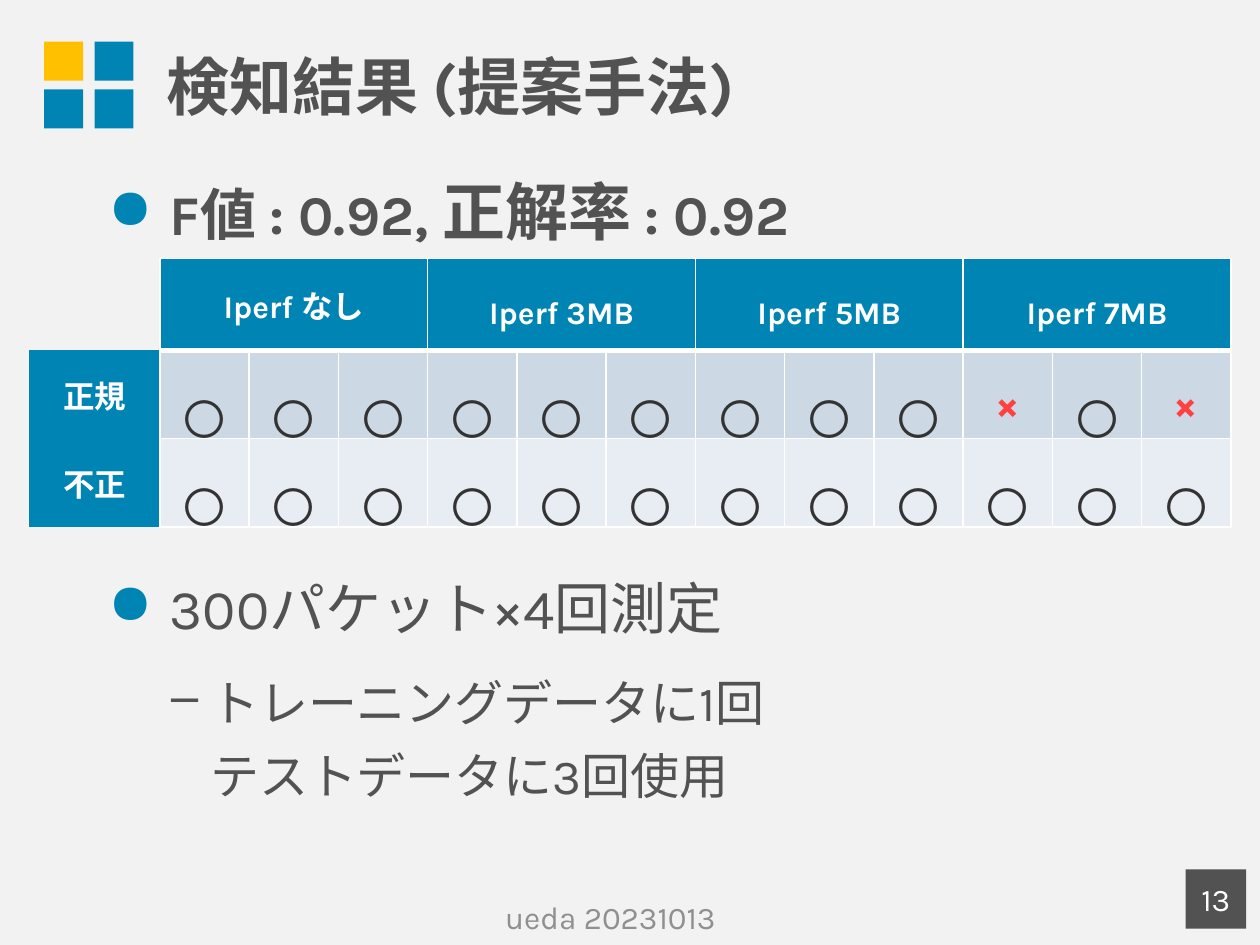
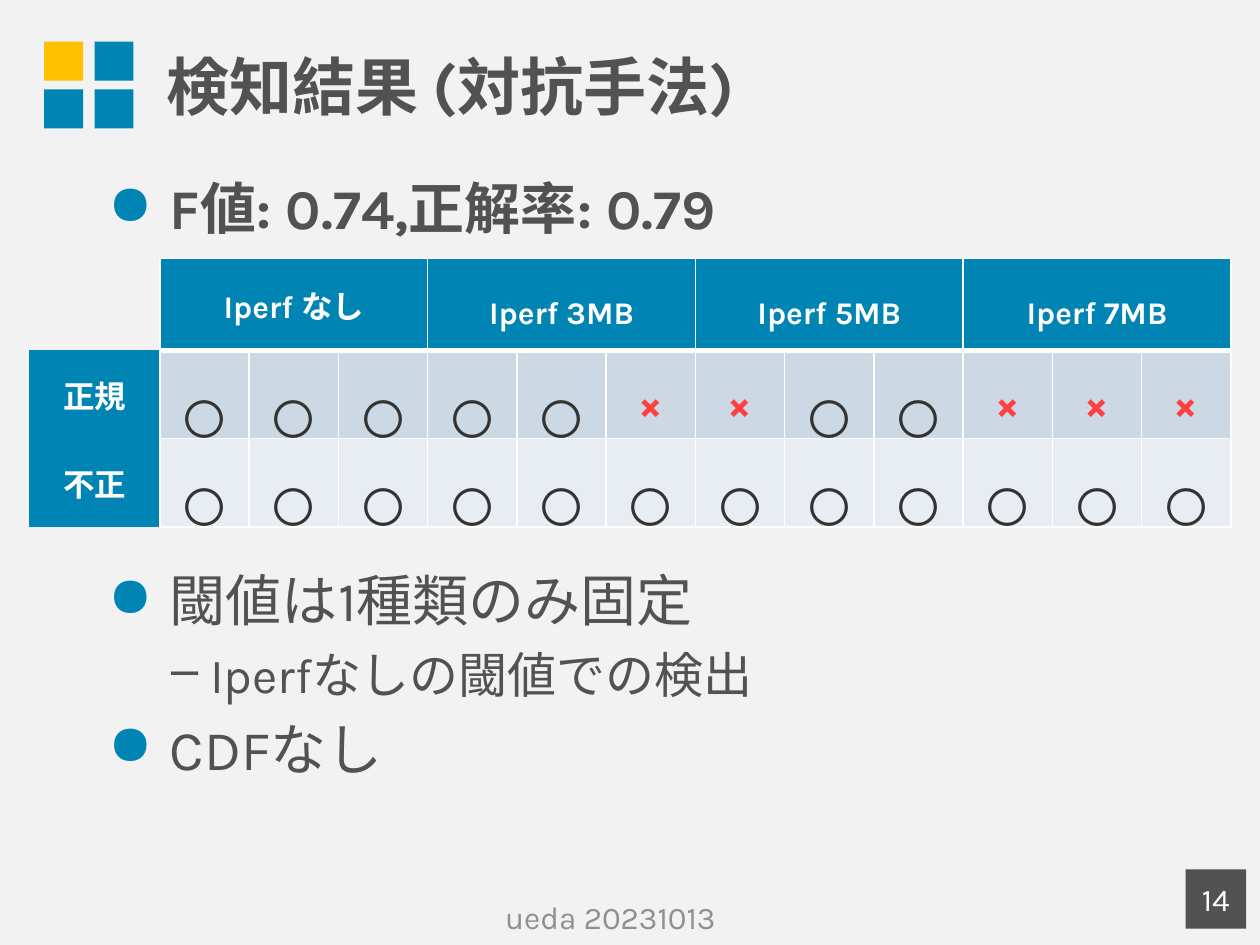
from dataclasses import dataclass

from lxml import etree
from pptx import Presentation
from pptx.dml.color import RGBColor
from pptx.enum.shapes import MSO_SHAPE
from pptx.enum.text import MSO_ANCHOR, PP_ALIGN
from pptx.oxml.ns import qn
from pptx.util import Inches, Pt

RECTANGLE = MSO_SHAPE.RECTANGLE
TOP, MIDDLE = MSO_ANCHOR.TOP, MSO_ANCHOR.MIDDLE
LEFT, CENTER = PP_ALIGN.LEFT, PP_ALIGN.CENTER
PLAIN_TABLE_STYLE = "{2D5ABB26-0587-4C30-8999-92F81FD0307C}"


@dataclass(frozen=True)
class Theme:
    font: str = "Karla"
    background: str = "F2F2F2"
    accent: str = "0084B4"
    highlight: str = "FFC000"
    ink: str = "525252"
    muted: str = "909090"
    white: str = "FFFFFF"
    hit: str = "333333"
    miss: str = "FF4040"
    bands: tuple = ("CCD9E5", "E7EDF2")
    title_size: int = 36
    body_size: int = 32
    sub_size: int = 28
    mark_size: int = 24
    small_size: int = 18


THEME = Theme()
CONDITIONS = ("Iperf なし", "Iperf 3MB", "Iperf 5MB", "Iperf 7MB")
RUNS_PER_CONDITION = 3
PAGES = (
    {
        "number": 13,
        "title": "検知結果 (提案手法)",
        "scores": (("F値 : 0.92, ", THEME.body_size), ("正解率", THEME.title_size),
                   (" : 0.92", THEME.body_size)),
        "results": (("正規", "〇〇〇〇〇〇〇〇〇×〇×"), ("不正", "〇" * 12)),
        "notes_top": 4.56,
        "notes": ((0, "300パケット×4回測定", 0.9),
                  (1, "トレーニングデータに1回\nテストデータに3回使用", 1.24)),
    },
    {
        "number": 14,
        "title": "検知結果 (対抗手法)",
        "scores": (("F値: 0.74,正解率: 0.79", THEME.body_size),),
        "results": (("正規", "〇〇〇〇〇××〇〇×××"), ("不正", "〇" * 12)),
        "notes_top": 4.5,
        "notes": ((0, "閾値は1種類のみ固定", 0.9), (1, "Iperfなしの閾値での検出", 0.9),
                  (0, "CDFなし", 0.9)),
    },
)


def color(value):
    return RGBColor.from_string(value)


def write(para, text, size=THEME.body_size, ink=THEME.ink, bold=False,
          align=LEFT, spacing=None, before=0):
    para.alignment = align
    para.space_before = Pt(before)
    if spacing:
        para.line_spacing = spacing
    for index, line in enumerate(text.split("\n")):
        if index:
            para.add_line_break()
        span = para.add_run()
        span.text = line
        span.font.name = THEME.font
        span.font.size = Pt(size)
        span.font.bold = bold
        span.font.color.rgb = color(ink)


def add_bullet(para, level):
    margin, hanging, mark = ((0.49, 0.49, "●"), (0.81, 0.31, "–"))[level]
    para.level = level
    properties = para._p.get_or_add_pPr()
    properties.set("marL", str(Inches(margin)))
    properties.set("indent", str(-Inches(hanging)))
    if level == 0:
        tint = etree.SubElement(properties, qn("a:buClr"))
        etree.SubElement(tint, qn("a:srgbClr"), val=THEME.accent)
    etree.SubElement(properties, qn("a:buChar"), char=mark)


def add_text_box(page, left, top, width, height, anchor=TOP):
    box = page.shapes.add_textbox(*map(Inches, (left, top, width, height)))
    frame = box.text_frame
    frame.word_wrap = True
    frame.vertical_anchor = anchor
    return frame


def add_block(page, left, top, width, height, fill):
    block = page.shapes.add_shape(RECTANGLE, *map(Inches, (left, top, width, height)))
    block.shadow.inherit = False
    block.fill.solid()
    block.fill.fore_color.rgb = color(fill)
    block.line.fill.background()
    return block


def add_emblem(page, left, top, side=0.31, pitch_x=0.4, pitch_y=0.38):
    for row in range(2):
        for column in range(2):
            fill = THEME.accent if row or column else THEME.highlight
            add_block(page, left + column * pitch_x, top + row * pitch_y, side, side, fill)


def add_title(page, text, left, top, width, height):
    frame = add_text_box(page, left, top, width, height, MIDDLE)
    write(frame.paragraphs[0], text, size=THEME.title_size, bold=True)


def add_scores(page, scores, left, top, width, height):
    para = add_text_box(page, left, top, width, height).paragraphs[0]
    for text, size in scores:
        write(para, text, size=size, bold=True, spacing=0.9)
    add_bullet(para, 0)


def add_notes(page, notes, left, top, width, height):
    frame = add_text_box(page, left, top, width, height)
    for index, (level, text, spacing) in enumerate(notes):
        para = frame.add_paragraph() if index else frame.paragraphs[0]
        size = THEME.sub_size if level else THEME.body_size
        write(para, text, size=size, spacing=spacing, before=10 if index else 0)
        add_bullet(para, level)


def add_footer(page, number, left, top, width, height):
    frame = add_text_box(page, left, top + 0.18, width - 0.55, height - 0.07, MIDDLE)
    write(frame.paragraphs[0], "ueda 20231013", size=THEME.small_size,
          ink=THEME.muted, align=CENTER)
    badge = add_block(page, left + width - 0.48, top, 0.48, height, THEME.ink).text_frame
    badge.margin_left = badge.margin_right = 0
    badge.vertical_anchor = MIDDLE
    write(badge.paragraphs[0], str(number), size=THEME.small_size,
          ink=THEME.white, align=CENTER)


def set_borders(cell, left=1, right=1, top=1, bottom=1):
    properties = cell._tc.get_or_add_tcPr()
    sides = (("a:lnL", left), ("a:lnR", right), ("a:lnT", top), ("a:lnB", bottom))
    for index, (tag, width) in enumerate(sides):
        line = etree.Element(qn(tag), w=str(Pt(width)))
        fill = etree.SubElement(line, qn("a:solidFill"))
        etree.SubElement(fill, qn("a:srgbClr"), val=THEME.white)
        properties.insert(index, line)


def fill_cell(cell, text, fill, anchor=MIDDLE, **text_format):
    cell.fill.solid()
    cell.fill.fore_color.rgb = color(fill)
    cell.vertical_anchor = anchor
    write(cell.text_frame.paragraphs[0], text, align=CENTER, **text_format)


def add_results(page, results, left, top, width, height):
    label_width, header_height = 1.04, 0.73
    run_count = len(CONDITIONS) * RUNS_PER_CONDITION
    frame = page.shapes.add_table(len(results) + 1, run_count + 1,
                                  *map(Inches, (left, top, width, height)))
    table = frame.table
    table.first_row = table.horz_banding = False
    table._tbl.tblPr.find(qn("a:tableStyleId")).text = PLAIN_TABLE_STYLE
    for index, column in enumerate(table.columns):
        column.width = Inches((width - label_width) / run_count if index else label_width)
    for index, row in enumerate(table.rows):
        row.height = Inches((height - header_height) / len(results) if index else header_height)
    table.cell(0, 0).fill.background()

    label_format = {"size": THEME.small_size, "ink": THEME.white, "bold": True}
    for index, condition in enumerate(CONDITIONS):
        first = 1 + index * RUNS_PER_CONDITION
        last = first + RUNS_PER_CONDITION - 1
        table.cell(0, first).merge(table.cell(0, last))
        fill_cell(table.cell(0, first), condition, THEME.accent,
                  spacing=1.5 if index else None, **label_format)
        for column in range(first, last + 1):
            set_borders(table.cell(0, column), bottom=3)

    for row, ((label, marks), band) in enumerate(zip(results, THEME.bands), 1):
        fill_cell(table.cell(row, 0), label, THEME.accent, **label_format)
        for column, mark in enumerate(marks, 1):
            missed = mark == "×"
            cell = table.cell(row, column)
            fill_cell(cell, mark, band, TOP, size=THEME.mark_size, spacing=1.5,
                      ink=THEME.miss if missed else THEME.hit, bold=missed)
            set_borders(cell, top=3 if row == 1 else 1)


def add_result_page(deck, content):
    page = deck.slides.add_slide(deck.slide_layouts[6])
    page.background.fill.solid()
    page.background.fill.fore_color.rgb = color(THEME.background)
    add_emblem(page, 0.35, 0.33)
    add_title(page, content["title"], 1.22, 0.05, 8.78, 1.25)
    add_scores(page, content["scores"], 0.76, 1.39, 9.15, 0.65)
    add_notes(page, content["notes"], 0.76, content["notes_top"], 9.15, 2.3)
    add_footer(page, content["number"], 0.35, 6.9, 9.54, 0.47)
    add_results(page, content["results"], 0.23, 2.05, 9.54, 2.1)


def main():
    deck = Presentation()
    deck.slide_width, deck.slide_height = Inches(10), Inches(7.5)
    for content in PAGES:
        add_result_page(deck, content)
    deck.save("out.pptx")


if __name__ == "__main__":
    main()
